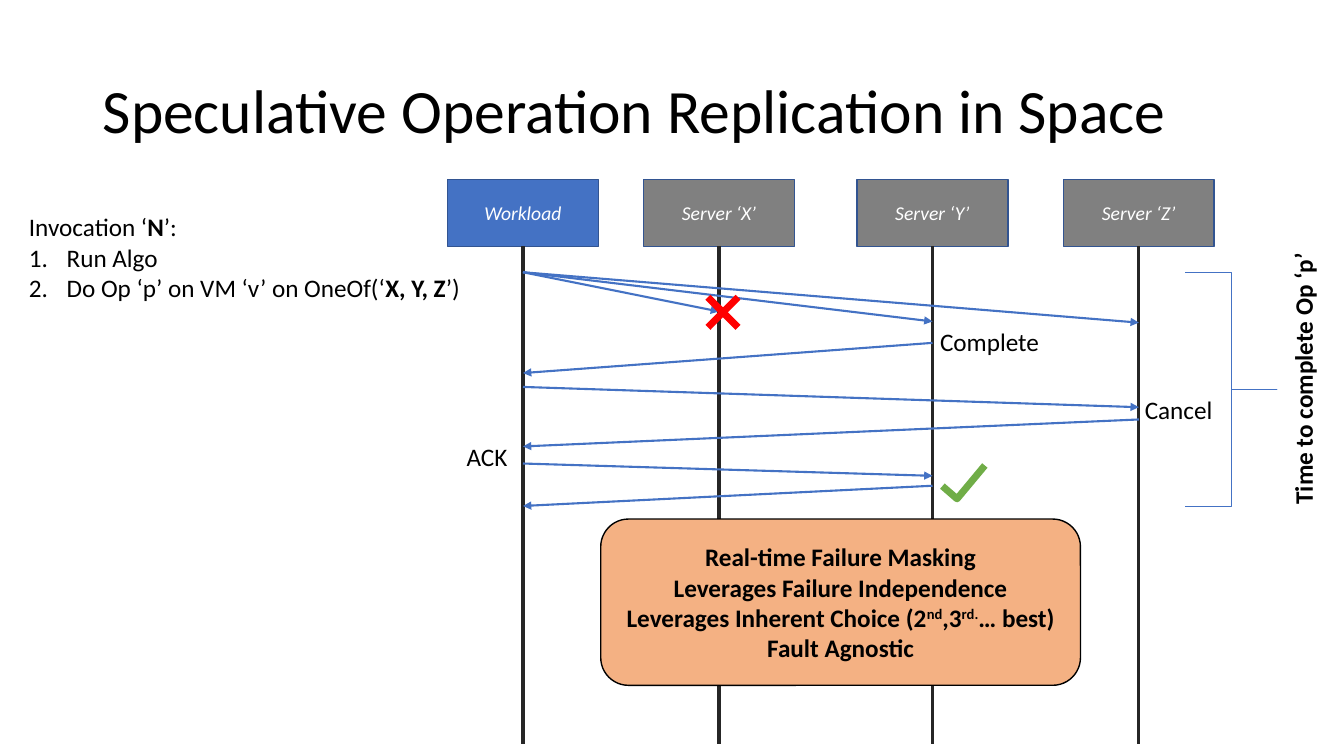
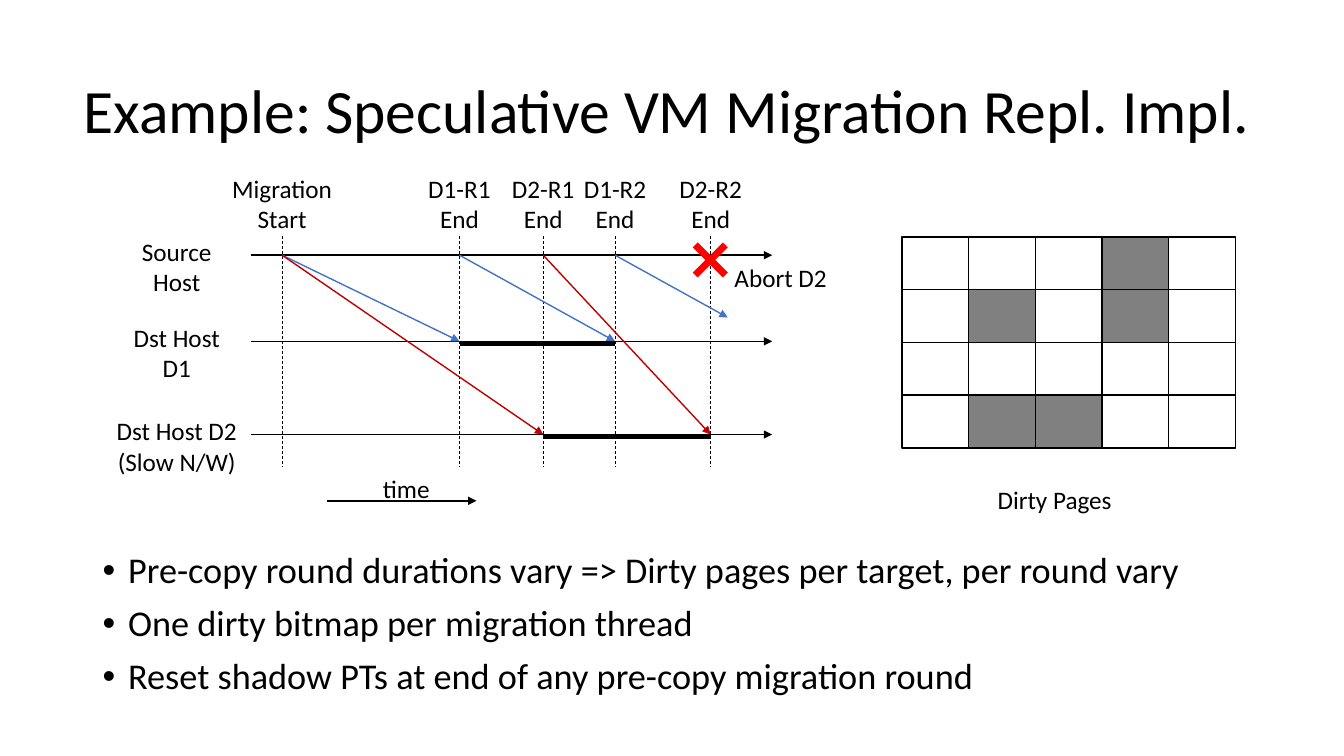
import pptx
import pptx.dml.color
import pptx.enum.dml
import pptx.enum.shapes
import pptx.enum.text
import pptx.oxml.ns
import pptx.util
from lxml import etree

Cm = pptx.util.Cm
Pt = pptx.util.Pt
SHAPE = pptx.enum.shapes.MSO_SHAPE
ALIGN = pptx.enum.text.PP_ALIGN
ANCHOR = pptx.enum.text.MSO_ANCHOR
qn = pptx.oxml.ns.qn

FONT = "Calibri"
COLORS = {
    "black": "000000", "white": "FFFFFF", "blue": "4472C4", "navy": "325491",
    "grey": "808080", "lifeline": "262626", "red": "FF0000",
    "dark_red": "C00000", "green": "70AD47", "orange": "F4B183",
}
LABEL_HEIGHT = 1.02
TWO_LINES = 1.8


def rgb(name):
    return pptx.dml.color.RGBColor.from_string(COLORS[name])


def write(frame, paragraphs, size=18, color="black", bold=False, italic=False,
          align=ALIGN.LEFT, anchor=ANCHOR.TOP, line_spacing=None,
          space_before=0, bullet=None, indent=0, list_start=0):
    frame.word_wrap = True
    frame.vertical_anchor = anchor
    for index, runs in enumerate(paragraphs):
        paragraph = frame.paragraphs[0] if index == 0 else frame.add_paragraph()
        paragraph.alignment = align
        paragraph.space_before = Pt(space_before)
        if line_spacing:
            paragraph.line_spacing = line_spacing
        if bullet and index >= list_start:
            add_bullet(paragraph, bullet, indent)
        for text, style in [(runs, "")] if isinstance(runs, str) else runs:
            run = paragraph.add_run()
            run.text = text
            run.font.name = FONT
            run.font.size = Pt(size)
            run.font.bold = bold or style == "bold"
            run.font.italic = italic
            run.font.color.rgb = rgb(color)
            if style == "super":
                run.font._element.set("baseline", "30000")


def add_bullet(paragraph, bullet, indent):
    properties = paragraph._p.get_or_add_pPr()
    properties.set("marL", str(Cm(indent)))
    properties.set("indent", str(-Cm(indent)))
    if bullet == "number":
        etree.SubElement(properties, qn("a:buAutoNum"), type="arabicPeriod")
    else:
        etree.SubElement(properties, qn("a:buFont"), typeface="Arial")
        etree.SubElement(properties, qn("a:buChar"), char=bullet)


def add_label(slide, paragraphs, left, top, width, height=LABEL_HEIGHT, **style):
    label = slide.shapes.add_textbox(Cm(left), Cm(top), Cm(width), Cm(height))
    write(label.text_frame, paragraphs, **style)
    return label


def add_title(slide, text, left, width, align=ALIGN.LEFT):
    add_label(slide, [text], left, 1.02, width, 3.68, size=44, align=align,
              anchor=ANCHOR.MIDDLE, line_spacing=0.9)


def add_block(slide, kind, left, top, width, height, fill=None,
              line="black", weight=1):
    block = slide.shapes.add_shape(kind, Cm(left), Cm(top), Cm(width), Cm(height))
    block.shadow.inherit = False
    if fill:
        block.fill.solid()
        block.fill.fore_color.rgb = rgb(fill)
    else:
        block.fill.background()
    block.line.color.rgb = rgb(line)
    block.line.width = Pt(weight)
    return block


def add_line(slide, start, end, color="black", weight=1, arrow=False, dashed=False):
    line = slide.shapes.add_connector(
        pptx.enum.shapes.MSO_CONNECTOR.STRAIGHT,
        Cm(start[0]), Cm(start[1]), Cm(end[0]), Cm(end[1]))
    line.line.color.rgb = rgb(color)
    line.line.width = Pt(weight)
    if dashed:
        line.line.dash_style = pptx.enum.dml.MSO_LINE.DASH
    if arrow:
        etree.SubElement(line.line._get_or_add_ln(), qn("a:tailEnd"), type="triangle")
    etree.SubElement(line._element.spPr, qn("a:effectLst"))
    return line


def add_cross(slide, x, y, reach=0.38):
    for slope in (1, -1):
        add_line(slide, (x - reach, y - slope * reach),
                 (x + reach, y + slope * reach), "red", 5)


def add_check(slide, points):
    corners = [(Cm(x), Cm(y)) for x, y in points]
    builder = slide.shapes.build_freeform(*corners[0])
    builder.add_line_segments(corners[1:], close=False)
    check = builder.convert_to_shape()
    check.shadow.inherit = False
    check.fill.background()
    check.line.color.rgb = rgb("green")
    check.line.width = Pt(5)


def add_lifeline(slide, name, x, fill):
    width, top, height = 3.8, 4.53, 1.68
    party = add_block(slide, SHAPE.RECTANGLE, x - width / 2, top, width, height,
                      fill, "navy")
    write(party.text_frame, [name], size=14, color="white", italic=True,
          align=ALIGN.CENTER, anchor=ANCHOR.MIDDLE)
    lifeline = add_line(slide, (x, top + height), (x, 18.74), "lifeline", 2.25)
    lifeline.begin_connect(party, 2)


def build_replication(slide):
    add_title(slide, "Speculative Operation Replication in Space", 2.34, 29.21)
    add_label(slide, [
        [("Invocation ‘", ""), ("N", "bold"), ("’:", "")],
        "Run Algo",
        [("Do Op ‘p’ on VM ‘v’ on OneOf(‘", ""), ("X, Y, Z", "bold"), ("’)", "")],
    ], 0.48, 5.21, 13.87, 2.57, bullet="number", indent=0.95, list_start=1)

    parties = {"Workload": 13.18, "Server ‘X’": 18.12,
               "Server ‘Y’": 23.5, "Server ‘Z’": 28.7}
    for name, x in parties.items():
        add_lifeline(slide, name, x, "blue" if name == "Workload" else "grey")

    workload, server_x, server_y, server_z = parties.values()
    messages = [
        (workload, 6.86, server_x, 7.85),
        (workload, 6.86, server_y, 8.1),
        (workload, 6.86, server_z, 8.13),
        (server_y, 8.64, workload, 9.4),
        (workload, 9.75, server_z, 10.26),
        (server_z, 10.57, workload, 11.25),
        (workload, 11.68, server_y, 11.99),
        (server_y, 12.24, workload, 12.75),
    ]
    for sender, sent, receiver, received in messages:
        add_line(slide, (sender, sent), (receiver, received), "blue", 1.5, arrow=True)
    add_cross(slide, 18.22, 7.87)
    add_check(slide, [(23.75, 12.25), (24.12, 12.57), (24.82, 11.73)])

    for text, left, top, width in [("Complete", 23.44, 8.1, 3.48),
                                   ("Cancel", 28.6, 9.8, 3.48),
                                   ("ACK", 11.51, 11, 1.7)]:
        add_label(slide, [text], left, top, width)

    duration = add_block(slide, SHAPE.RIGHT_BRACE, 29.87, 6.86, 2.31, 5.89,
                         line="blue", weight=0.5)
    duration.adjustments[0] = 0
    caption = add_label(slide, ["Time to complete Op ‘p’"], 29.24, 8.86, 7.19, bold=True)
    caption.rotation = 270

    benefits = add_block(slide, SHAPE.ROUNDED_RECTANGLE, 15.14, 13.08, 12.09, 4.19,
                         "orange")
    write(benefits.text_frame, [
        "Real-time Failure Masking",
        "Leverages Failure Independence",
        [("Leverages Inherent Choice (2", ""), ("nd", "super"), (",3", ""),
         ("rd.", "super"), ("… best)", "")],
        "Fault Agnostic",
    ], bold=True, align=ALIGN.CENTER, anchor=ANCHOR.MIDDLE)


def build_timeline(slide):
    hosts = [(["Source", "Host"], 6.43), (["Dst Host", "D1"], 8.6),
             (["Dst Host D2", "(Slow N/W)"], 10.95)]
    for name, y in hosts:
        add_line(slide, (6.32, y), (19.46, y), arrow=True)
        add_label(slide, name, 2.64, y - 0.6, 3.63, TWO_LINES, align=ALIGN.CENTER)

    events = [("Migration", "Start", 7.11, 4.4), ("D1-R1", "End", 11.58, 2.24),
              ("D2-R1", "End", 13.69, 2.24), ("D1-R2", "End", 15.5, 2.24),
              ("D2-R2", "End", 17.91, 2.24)]
    for name, edge, x, width in events:
        add_line(slide, (x, 5.95), (x, 11.75), weight=0.5, dashed=True)
        add_label(slide, [name, edge], x - width / 2, 4.24, width, TWO_LINES,
                  align=ALIGN.CENTER)

    source, d1, d2 = [y for _, y in hosts]
    start, d1_r1, d2_r1, d1_r2, d2_r2 = [event[2] for event in events]
    rounds = [
        ((start, source), (d1_r1, d1), "blue"),
        ((d1_r1, source), (d1_r2, d1), "blue"),
        ((d1_r2, source), (18.34, 8), "blue"),
        ((start, source), (d2_r1, d2), "dark_red"),
        ((d2_r1, source), (d2_r2, d2), "dark_red"),
    ]
    for begin, end, color in rounds:
        add_line(slide, begin, end, color, arrow=True)
    for begin, end, y in [(d1_r1, d1_r2, d1), (d2_r1, d2_r2, d2)]:
        add_line(slide, (begin, y + 0.06), (end, y + 0.06), weight=3.25)

    add_cross(slide, 17.9, 6.55)
    add_label(slide, ["Abort D2"], 18.26, 6.48, 3.33)
    add_line(slide, (8.23, 12.62), (12.01, 12.62), arrow=True)
    add_label(slide, ["time"], 9.4, 11.79, 2.46)


def build_bitmap(slide):
    left, top, width, height = 22.73, 5.97, 1.68, 1.33
    dirty = {(0, 3), (1, 1), (1, 3), (3, 1), (3, 2)}
    for row in range(4):
        for column in range(5):
            add_block(slide, SHAPE.RECTANGLE, left + column * width,
                      top + row * height, width, height,
                      "grey" if (row, column) in dirty else "white")
    add_label(slide, ["Dirty Pages"], 24.89, 12.09, 3.56)


def build_migration(slide):
    add_title(slide, "Example: Speculative VM Migration Repl. Impl.", 1.32, 30.99,
              ALIGN.CENTER)
    build_timeline(slide)
    build_bitmap(slide)
    add_label(slide, [
        "Pre-copy round durations vary => Dirty pages per target, per round vary",
        "One dirty bitmap per migration thread",
        "Reset shadow PTs at end of any pre-copy migration round",
    ], 2.34, 13.79, 29.21, 4.6, size=25.9, line_spacing=0.9, space_before=10,
        bullet="•", indent=0.64)


def main():
    deck = pptx.Presentation()
    deck.slide_width = Cm(33.87)
    deck.slide_height = Cm(19.05)
    for build in (build_replication, build_migration):
        build(deck.slides.add_slide(deck.slide_layouts[6]))
    deck.save("out.pptx")


if __name__ == "__main__":
    main()
